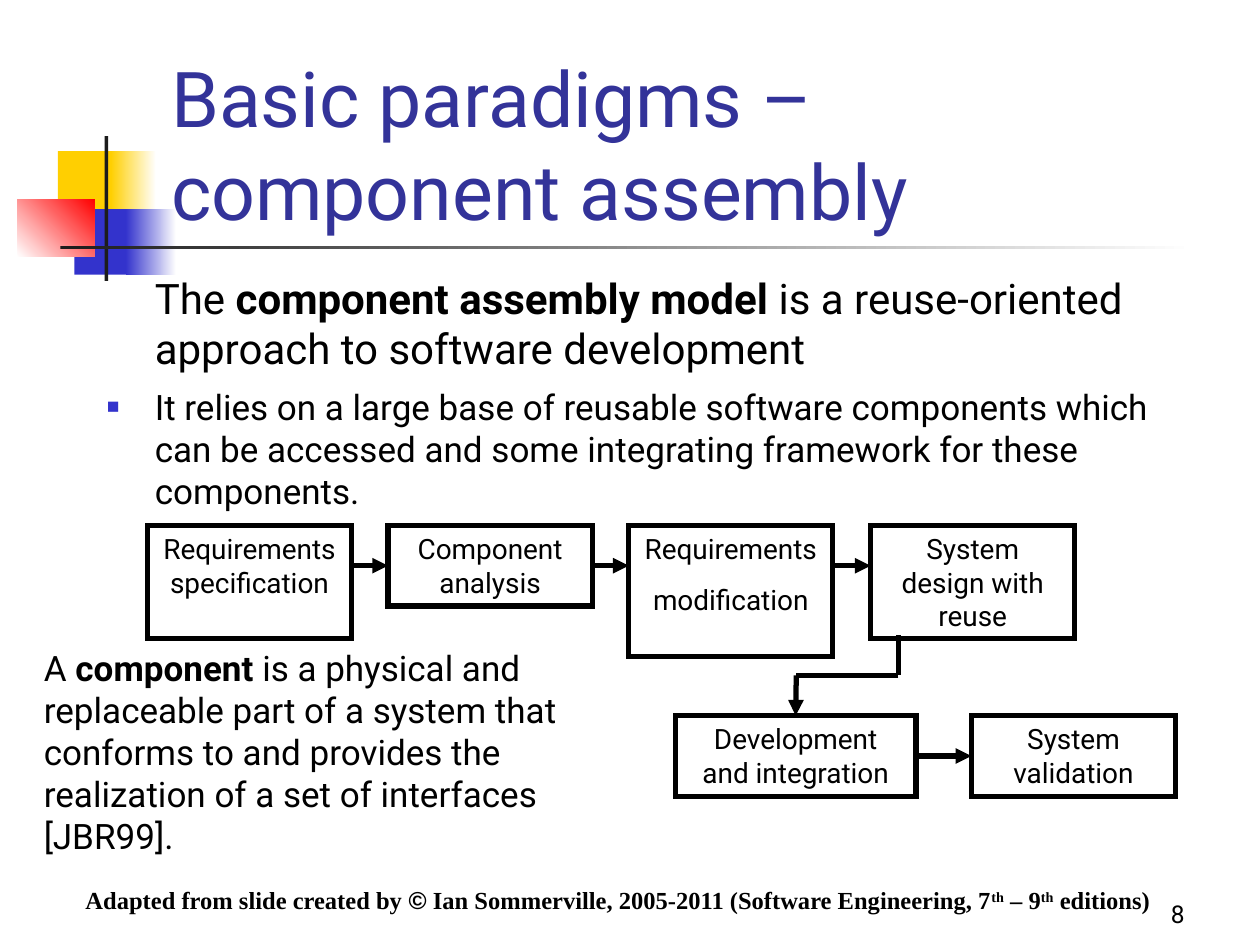
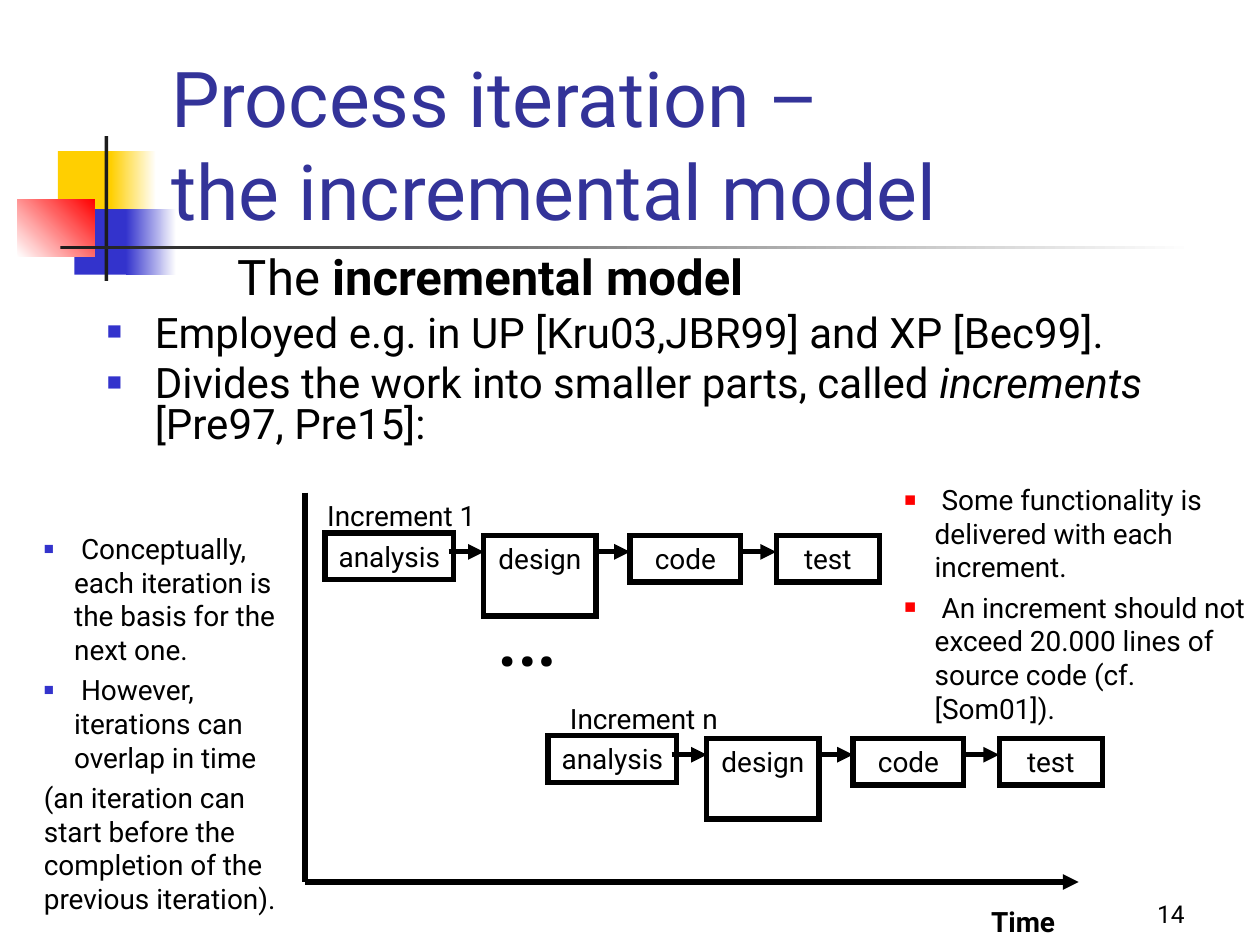
"""Build two slides on software process models."""
from lxml.etree import SubElement
from pptx import Presentation
from pptx.dml.color import RGBColor
from pptx.enum.shapes import MSO_CONNECTOR, MSO_SHAPE
from pptx.enum.text import MSO_ANCHOR, PP_ALIGN
from pptx.oxml.ns import qn
from pptx.util import Inches, Pt

BLACK = RGBColor(0x00, 0x00, 0x00)
WHITE = RGBColor(0xFF, 0xFF, 0xFF)
INK = RGBColor(0x1C, 0x1C, 0x1C)
GOLD = RGBColor(0xFF, 0xCF, 0x01)
BLUE = RGBColor(0x33, 0x33, 0xCC)
NAVY = RGBColor(0x33, 0x33, 0x99)
RED = RGBColor(0xFF, 0x00, 0x00)
FONT = "Roboto"


def place(page, area, border=False, wrap=True, anchor=MSO_ANCHOR.TOP, top=0.05):
    """Add a text box or a bordered box and return it."""
    area = [Inches(n) for n in area]
    if border:
        box = page.shapes.add_shape(MSO_SHAPE.RECTANGLE, *area)
        box.shadow.inherit = False
        box.fill.background()
        box.line.color.rgb = BLACK
        box.line.width = Pt(3)
        edge = box._element.spPr.find(qn("a:ln"))
        SubElement(edge, qn("a:miter"), lim="800000")
    else:
        box = page.shapes.add_textbox(*area)
    frame = box.text_frame
    frame.word_wrap = wrap
    frame.vertical_anchor = anchor
    frame.margin_top = Inches(top)
    return box


def write(box, text, size=16, color=BLACK, font=FONT, bold=False, align=PP_ALIGN.LEFT,
          before=0, lines=None, left=0, hang=0, bullet=None, scale=60):
    """Add a paragraph made of a string or of (text, style) runs."""
    frame = box.text_frame
    first = not frame.text
    para = frame.paragraphs[0] if first else frame.add_paragraph()
    props = para._p.get_or_add_pPr()
    props.set("marL", str(Inches(left)))
    props.set("indent", str(-Inches(hang)))
    if bullet:
        tint = SubElement(props, qn("a:buClr"))
        SubElement(tint, qn("a:srgbClr"), val=str(bullet))
        SubElement(props, qn("a:buSzPct"), val=str(scale * 1000))
        SubElement(props, qn("a:buFont"), typeface="Arial")
        SubElement(props, qn("a:buChar"), char="■")
    para.alignment = align
    para.space_before = Pt(0 if first else before)
    if lines:
        para.line_spacing = lines
    for words, style in [(text, "")] if isinstance(text, str) else text:
        for row, part in enumerate(words.split("\n")):
            if row:
                para.add_line_break()
            run = para.add_run()
            run.text = part
            run.font.size = Pt(size)
            run.font.name = "Arial" if style == "arial" else font
            run.font.color.rgb = color
            run.font.bold = bold or style == "bold"
            run.font.italic = style == "italic"
            if style == "super":
                run._r.get_or_add_rPr().set("baseline", "30000")


deck = Presentation()
deck.slide_width, deck.slide_height = Inches(10), Inches(7.5)
MID = PP_ALIGN.CENTER
BANDS = [
    (0.46, 1.2, 0.48, 0.52, GOLD, None, 0),
    (0.88, 1.2, 0.36, 0.52, GOLD, WHITE, 0),
    (0.59, 1.66, 0.46, 0.52, BLUE, None, 0),
    (1, 1.66, 0.4, 0.52, BLUE, WHITE, 0),
    (0.14, 1.58, 0.61, 0.46, WHITE, RED, 45),
    (0.83, 1.08, 0.03, 1.15, INK, None, 0),
    (0.48, 1.95, 9, 0.03, INK, WHITE, 0),
]
TITLES = [
    ("Basic paradigms – \ncomponent assembly", "8"),
    ("Process iteration –\nthe incremental model", "14"),
]
pages = []
for title, number in TITLES:
    page = deck.slides.add_slide(deck.slide_layouts[6])
    pages.append(page)
    for *area, start, end, angle in BANDS:
        band = page.shapes.add_shape(MSO_SHAPE.RECTANGLE, *[Inches(n) for n in area])
        band.shadow.inherit = False
        band.line.fill.background()
        if end is None:
            band.fill.solid()
            band.fill.fore_color.rgb = start
        else:
            band.fill.gradient()
            band.fill.gradient_angle = angle
            for stop, color in zip(band.fill.gradient_stops, (start, end)):
                stop.color.rgb = color
    write(place(page, (7.42, 6.92, 2.08, 0.5), anchor=MSO_ANCHOR.BOTTOM),
          number, size=14, align=PP_ALIGN.RIGHT)
    write(place(page, (1.26, 0.67, 8.52, 1.25), anchor=MSO_ANCHOR.BOTTOM),
          title, size=44, color=NAVY)
model, steps = pages

body = place(model, (0.75, 2, 8.79, 2.17), top=0.16)
write(body, [("The ", ""), ("component assembly model", "bold"),
             (" is a reuse-oriented approach to software development", "")],
      size=24, left=0.38)
write(body, "It relies on a large base of reusable software components which can be "
      "accessed and some integrating framework for these components.",
      size=20, left=0.38, hang=0.38, before=7, bullet=BLUE)

STAGES = [
    (1.17, 4.17, 1.62, 0.9, ["Requirements specification"]),
    (3.08, 4.17, 1.62, 0.64, ["Component analysis"]),
    (4.99, 4.17, 1.62, 1.04, ["Requirements", "modification"]),
    (6.91, 4.17, 1.62, 0.9, ["System design with reuse"]),
    (5.36, 5.68, 1.91, 0.64, ["Development and integration"]),
    (7.71, 5.68, 1.62, 0.64, ["System validation"]),
]
stages = []
for *area, texts in STAGES:
    stage = place(model, area, border=True)
    stages.append(stage)
    for text in texts:
        write(stage, text, align=MID, before=10)
second, build, check = stages[1], stages[4], stages[5]

note = place(model, (0.25, 5.08, 4.83, 1.77))
write(note, [("A ", ""), ("component ", "bold"),
             ("is a physical and replaceable part of a system that conforms to and "
              "provides the realization of a set of interfaces [JBR99].", "")], size=20)
credit = place(model, (0.58, 7, 9.17, 0.31))
write(credit, [("Adapted from slide created by ", ""), ("©", "arial"),
               (" Ian Sommerville, 2005-2011 (Software Engineering, 7", ""),
               ("th", "super"), (" – 9", ""), ("th", "super"), (" editions)", "")],
      size=14, font="Times New Roman", bold=True, lines=0.9)

body = place(steps, (0.75, 2, 8.92, 1.75))
write(body, [("The ", ""), ("incremental model", "bold")], size=28, left=1.04, lines=0.8)
POINTS = [
    "Employed e.g. in UP [Kru03,JBR99] and XP [Bec99].",
    [("Divides the work into smaller parts, called ", ""), ("increments", "italic"),
     (" [Pre97, Pre15]:", "")],
]
for point in POINTS:
    write(body, point, size=24, left=0.38, hang=0.38, before=6, lines=0.8, bullet=BLUE)

LABELS = [
    (2.45, 3.91, 1.47, 0.37, "Increment 1", 16, False),
    (4.37, 5.52, 1.48, 0.37, "Increment n", 16, False),
    (7.75, 7.13, 0.74, 0.37, "Time", 16, True),
    (3.79, 4.49, 0.79, 1, "…", 54, False),
]
for *area, text, size, bold in LABELS:
    write(place(steps, area, wrap=False), text, size=size, bold=bold, align=MID)

LINES = [
    (model, 2.79, 4.49, 3.08, 4.49, True, None, second),
    (model, 4.7, 4.49, 4.99, 4.49, True, second, None),
    (model, 6.61, 4.49, 6.91, 4.49, True, None, None),
    (model, 7.13, 5.04, 7.13, 5.36, False, None, None),
    (model, 7.13, 5.36, 6.32, 5.36, False, None, None),
    (model, 6.32, 5.36, 6.32, 5.68, True, None, build),
    (model, 7.27, 6, 7.71, 6, True, build, check),
    (steps, 2.42, 3.91, 2.42, 7, False, None, None),
    (steps, 2.42, 7, 8.56, 7, True, None, None),
]
TASKS = [
    (0, 0, 1.02, 0.37, "analysis"),
    (1.26, 0.02, 0.89, 0.64, "design"),
    (2.42, 0.02, 0.88, 0.37, "code"),
    (3.58, 0.02, 0.82, 0.37, "test"),
]
for left, top in [(2.58, 4.23), (4.35, 5.84)]:
    for x, y, wide, high, text in TASKS:
        task = place(steps, (left + x, top + y, wide, high), border=True, wrap=x > 0)
        write(task, text, align=MID)
        if x:
            LINES.append((steps, left + x - 0.28, top + 0.15, left + x, top + 0.15,
                          True, None, None))

for page, x1, y1, x2, y2, arrow, source, target in LINES:
    ends = [Inches(n) for n in (x1, y1, x2, y2)]
    line = page.shapes.add_connector(MSO_CONNECTOR.STRAIGHT, *ends)
    if source:
        line.begin_connect(source, 3)
    if target:
        line.end_connect(target, 0 if x1 == x2 else 1)
    line.line.color.rgb = BLACK
    line.line.width = Pt(3)
    props = line._element.spPr
    if arrow:
        SubElement(props.find(qn("a:ln")), qn("a:tailEnd"), type="triangle")
    SubElement(props, qn("a:effectLst"))

left = place(steps, (0.25, 4.17, 2.25, 3.15))
for text in (" Conceptually, each iteration is the basis for the next one.",
             " However, iterations can overlap in time"):
    write(left, text, left=0.24, hang=0.24, before=4, bullet=BLUE)
write(left, "(an iteration can start before the completion of the previous iteration).",
      before=4)
right = place(steps, (7.08, 3.75, 2.92, 1.82), top=0.08)
for text in (" Some functionality is delivered with each increment.",
             " An increment should not exceed 20.000 lines of source code (cf. [Som01])."):
    write(right, text, left=0.24, hang=0.24, before=4, bullet=RED, scale=70)

deck.save("out.pptx")
